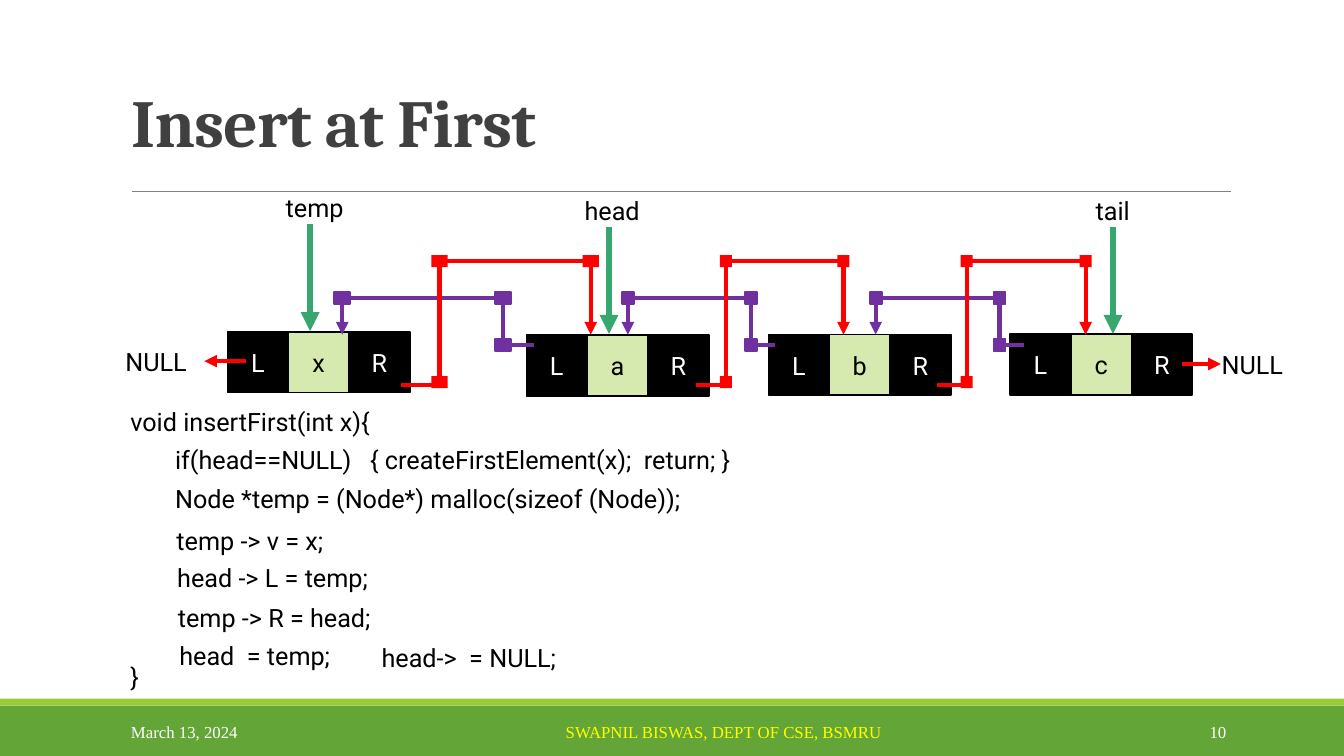
from dataclasses import dataclass
from itertools import pairwise

from lxml.etree import SubElement
from pptx import Presentation
from pptx.dml.color import RGBColor
from pptx.enum.shapes import MSO_CONNECTOR, MSO_SHAPE
from pptx.enum.text import MSO_ANCHOR as Anchor, MSO_AUTO_SIZE, PP_ALIGN as Align
from pptx.oxml.ns import qn
from pptx.util import Pt


@dataclass(frozen=True)
class Theme:
    black: str = "000000"
    white: str = "FFFFFF"
    title: str = "404040"
    rule: str = "808080"
    footer: str = "63A537"
    footer_edge: str = "99CB38"
    author: str = "FFFF00"
    value: str = "D6EAAF"
    pointer: str = "37A76F"
    next_link: str = "FF0000"
    prev_link: str = "7030A0"
    title_font: str = "Cambria"
    body_font: str = "Roboto"
    footer_font: str = "Times New Roman"
    title_size: float = 48
    body_size: float = 18
    footer_size: float = 12


THEME = Theme()
CELL = 43.4
JOINT_HEIGHT = 8.6

# value, left, top
NODES = [("x", 162.5, 237), ("a", 376, 239.5), ("b", 549, 239), ("c", 721.5, 238.5)]
# label, label left, label top, label width, arrow x
POINTERS = [("temp", 197, 134, 58, 221.5), ("head", 410.5, 136, 58, 435),
            ("tail", 775.5, 136, 49, 795)]
# start x, turn x, end x, joint width
NEXT_LINKS = [(286.5, 314, 422, 11.5), (497, 518.5, 602.5, 8.6), (669.5, 690.5, 775.5, 8.6)]
PREV_LINKS = [(381.5, 359.5, 244.5, 11.5), (553.5, 536.5, 448.5, 8.6), (731.5, 714, 625.5, 8.6)]
# text, left, top, width
CODE = [
    ("void insertFirst(int x){", 86, 286.5, 256),
    ("if(head==NULL)   { createFirstElement(x);  return; }", 118, 314, 426),
    ("Node *temp = (Node*) malloc(sizeof (Node));", 118, 342, 426),
    ("temp -> v = x;", 119, 371.5, 125),
    ("head -> L = temp;", 119.5, 398, 158),
    ("temp -> R = head;", 120, 427, 158),
    ("head  = temp;", 121, 453.5, 158),
    ("head->  = NULL;", 265.5, 455, 158),
    ("}", 86, 469, 32),
]


def rgb(color):
    return RGBColor.from_string(color)


def add_run(paragraph, text, color=THEME.black, font=THEME.body_font, size=THEME.body_size):
    run = paragraph.add_run()
    run.text = text
    run.font.name = font
    run.font.size = Pt(size)
    run.font.color.rgb = rgb(color)
    return run


def add_rect(slide, left, top, width, height, fill, line=None):
    rect = slide.shapes.add_shape(MSO_SHAPE.RECTANGLE, Pt(left), Pt(top), Pt(width), Pt(height))
    rect.shadow.inherit = False
    rect.fill.solid()
    rect.fill.fore_color.rgb = rgb(fill)
    if line:
        rect.line.color.rgb = rgb(line)
        rect.line.width = Pt(1.25)
    else:
        rect.line.fill.background()
    return rect


def add_line(slide, start, end, color, width, arrow=False):
    line = slide.shapes.add_connector(MSO_CONNECTOR.STRAIGHT, *map(Pt, (*start, *end)))
    line.line.color.rgb = rgb(color)
    line.line.width = Pt(width)
    if arrow:
        SubElement(line.line._get_or_add_ln(), qn("a:tailEnd"), type="triangle")
    SubElement(line._element.spPr, qn("a:effectLst"))


def add_label(slide, text, left, top, width, height=29, anchor=Anchor.TOP, align=Align.LEFT,
              **style):
    frame = slide.shapes.add_textbox(Pt(left), Pt(top), Pt(width), Pt(height)).text_frame
    frame.word_wrap = True
    frame.vertical_anchor = anchor
    frame.paragraphs[0].alignment = align
    add_run(frame.paragraphs[0], text, **style)


def add_title(slide, text):
    title = slide.shapes.title
    title.left, title.top, title.width, title.height = Pt(86.5), Pt(4.5), Pt(792), Pt(114.5)
    frame = title.text_frame
    frame.auto_size = MSO_AUTO_SIZE.NONE
    frame.vertical_anchor = Anchor.BOTTOM
    paragraph = frame.paragraphs[0]
    paragraph.alignment = Align.LEFT
    paragraph.line_spacing = 0.85
    run = add_run(paragraph, text, THEME.title, THEME.title_font, THEME.title_size)
    run.font.bold = True
    run.font._element.set("spc", "-50")
    add_line(slide, (94.5, 136.8), (879, 136.8), THEME.rule, 0.5)


def add_footer(slide):
    add_rect(slide, 0, 504, 960, 36, THEME.footer)
    add_rect(slide, 0, 499, 960, 5, THEME.footer_edge)
    style = dict(font=THEME.footer_font, size=THEME.footer_size)
    add_label(slide, "March 13, 2024", 86.5, 508.5, 194, anchor=Anchor.MIDDLE,
              color=THEME.white, **style)
    add_label(slide, "SWAPNIL BISWAS, DEPT OF CSE, BSMRU", 397, 512, 250, 22,
              color=THEME.author, **style)
    add_label(slide, "10", 780, 508.5, 103, anchor=Anchor.MIDDLE, align=Align.RIGHT,
              color=THEME.white, **style)


def add_node(slide, value, left, top):
    """Draw the left link, right link and value cells of a list node."""
    for text, column, fill, color in (("L", 0, THEME.black, THEME.white),
                                      ("R", 2, THEME.black, THEME.white),
                                      (value, 1, THEME.value, THEME.black)):
        cell = add_rect(slide, left + column * CELL, top, CELL, CELL, fill, THEME.black)
        frame = cell.text_frame
        frame.vertical_anchor = Anchor.MIDDLE
        frame.paragraphs[0].alignment = Align.CENTER
        add_run(frame.paragraphs[0], text, color)


def add_pointer(slide, name, left, top, width, arrow_x):
    add_line(slide, (arrow_x, top + 26), (arrow_x, top + 102.5), THEME.pointer, 4.5, arrow=True)
    add_label(slide, name, left, top, width)


def add_link(slide, start, turn, end, joint_width, low, high, color, joint_line=None, lift=0):
    """Draw an elbowed arrow with a joint at each bend; lift raises the lowest joint."""
    bends = [(turn, low), (turn, high), (end, high)]
    route = [(start, low), *bends, (end, 239)]
    for begin, finish in pairwise(route):
        add_line(slide, begin, finish, color, 3, arrow=finish == route[-1])
    for x, y in bends:
        joint_y = y - lift if y == low else y
        add_rect(slide, x - joint_width / 2, joint_y - JOINT_HEIGHT / 2,
                 joint_width, JOINT_HEIGHT, color, joint_line)


def main():
    deck = Presentation()
    deck.slide_width, deck.slide_height = Pt(960), Pt(540)
    slide = deck.slides.add_slide(deck.slide_layouts[5])
    add_footer(slide)
    add_title(slide, "Insert at First")
    for node in NODES:
        add_node(slide, *node)
    for pointer in POINTERS:
        add_pointer(slide, *pointer)
    for link in PREV_LINKS:
        add_link(slide, *link, 246.5, 213, THEME.prev_link, joint_line=THEME.prev_link)
    for link in NEXT_LINKS:
        add_link(slide, *link, 275, 186.5, THEME.next_link, lift=2)
    add_label(slide, "NULL", 82.5, 244, 68)
    add_line(slide, (175.5, 258), (146, 258), THEME.next_link, 3, arrow=True)
    add_label(slide, "NULL", 865.5, 246, 68)
    add_line(slide, (844.5, 260), (872, 260), THEME.next_link, 3, arrow=True)
    for line in CODE:
        add_label(slide, *line)
    deck.save("out.pptx")


if __name__ == "__main__":
    main()
